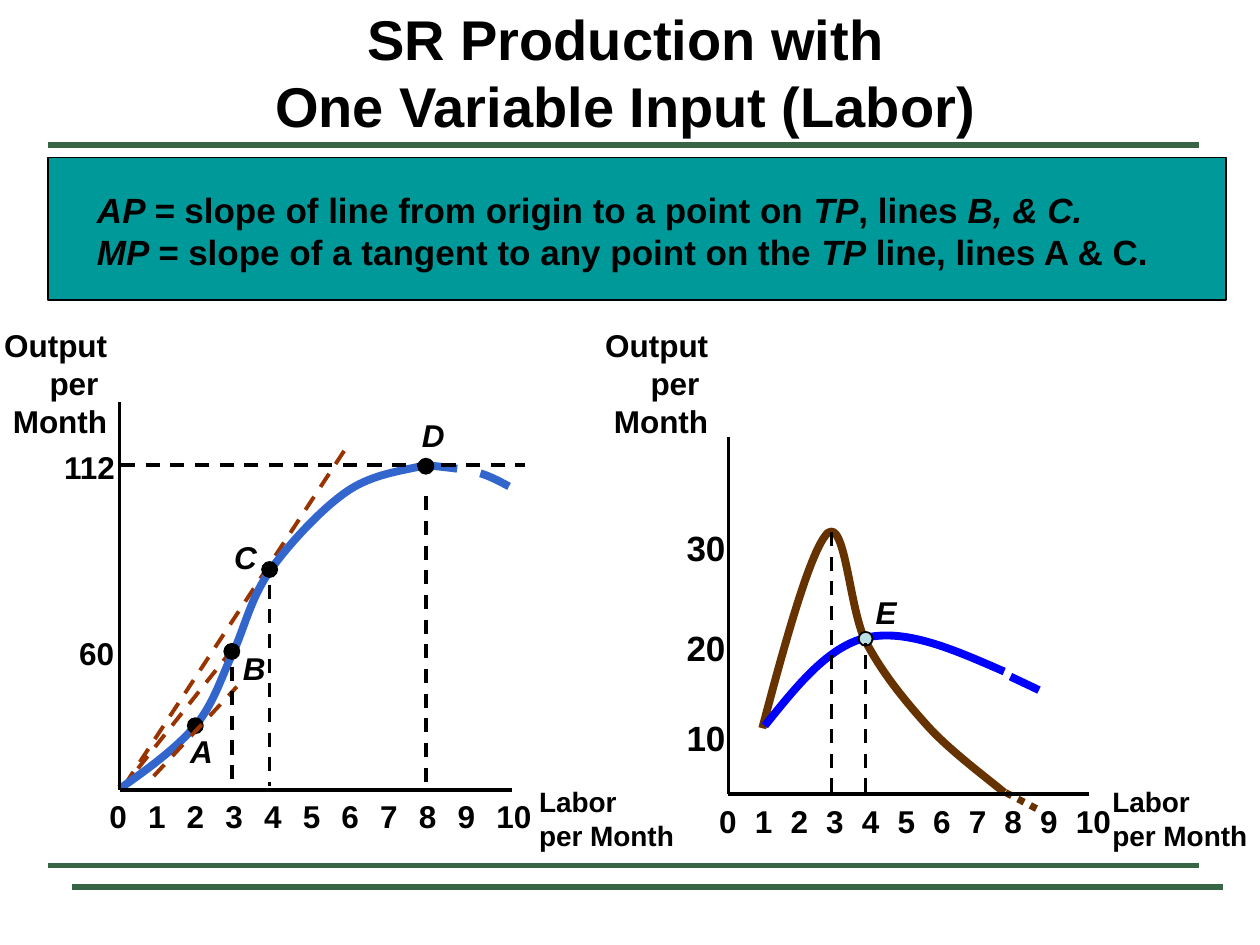
from dataclasses import dataclass
from lxml.etree import SubElement
from pptx import Presentation
from pptx.dml.color import RGBColor
from pptx.enum.dml import MSO_LINE
from pptx.enum.shapes import MSO_CONNECTOR, MSO_SHAPE
from pptx.enum.text import MSO_ANCHOR, MSO_AUTO_SIZE, PP_ALIGN
from pptx.oxml.ns import qn
from pptx.util import Inches, Pt


@dataclass(frozen=True)
class Theme:
    font: str = "Arial"
    ink: str = "000000"
    rule: str = "376546"
    band: str = "009999"
    slope: str = "993300"
    total: str = "3366CC"
    marginal: str = "663300"
    average: str = "0000FF"
    pale: str = "BBE0E3"
    title: int = 32
    body: int = 20
    label: int = 18
    small: int = 16
    axis: float = 2
    slope_line: float = 2.25
    rule_line: float = 3
    dot_line: float = 4
    curve: float = 4.5


class Board:
    COLS, ROWS = 10, 7.5

    def __init__(self, prs, theme):
        self.theme = theme
        self.s = prs.slides.add_slide(prs.slide_layouts[6])
        self.col = prs.slide_width / self.COLS
        self.row = prs.slide_height / self.ROWS

    def grid(self, x, y):
        return round(x * self.col), round(y * self.row)

    def stroke(self, line, color, width, dash=None):
        line.color.rgb = RGBColor.from_string(color)
        for name, value in {"width": Pt(width), "dash_style": dash}.items():
            setattr(line, name, value)

    def line(self, start, end, color, width, dash=None):
        c = self.s.shapes.add_connector(
            MSO_CONNECTOR.STRAIGHT, *self.grid(*start), *self.grid(*end))
        self.stroke(c.line, color, width, dash)
        SubElement(c._element.spPr, qn("a:effectLst"))

    def guide(self, start, end):
        self.line(start, end, self.theme.ink, self.theme.axis, MSO_LINE.DASH)

    def axes(self, x, top, y, right):
        for start, end in (((x, top), (x, y)), ((x, y), (right, y))):
            self.line(start, end, self.theme.ink, self.theme.axis)

    def curve(self, points, color, dash=None):
        start, *rest = [self.grid(*point) for point in points]
        builder = self.s.shapes.build_freeform(*start)
        builder.add_line_segments(rest, close=False)
        sp = builder.convert_to_shape()
        sp.shadow.inherit = False
        sp.fill.background()
        self.stroke(sp.line, color, self.theme.curve, dash)
        outline = next(sp._element.iter(qn("a:path")))
        segments = outline.findall(qn("a:lnTo"))
        for i in range(0, len(segments), 3):
            bezier = SubElement(outline, qn("a:cubicBezTo"))
            for segment in segments[i:i + 3]:
                bezier.append(segment[0])
                outline.remove(segment)

    def shape(self, kind, x, y, w, h, fill):
        sp = self.s.shapes.add_shape(kind, *self.grid(x, y), *self.grid(w, h))
        sp.shadow.inherit = False
        sp.fill.solid()
        sp.fill.fore_color.rgb = RGBColor.from_string(fill)
        self.stroke(sp.line, self.theme.ink, 1)

    def dot(self, x, y, fill, size=0.12):
        self.shape(MSO_SHAPE.OVAL, x - size / 2, y - size / 2, size, size, fill)

    def text(self, lines, x, y, w, h, size, align=PP_ALIGN.LEFT, **frame):
        tf = self.s.shapes.add_textbox(*self.grid(x, y), *self.grid(w, h)).text_frame
        defaults = {"word_wrap": False, "auto_size": MSO_AUTO_SIZE.SHAPE_TO_FIT_TEXT}
        for name, value in {**defaults, **frame}.items():
            setattr(tf, name, value)
        for n, line in enumerate(lines):
            p = tf.add_paragraph() if n else tf.paragraphs[0]
            p.alignment = align
            for i, part in enumerate(line.split("*")):
                for j, piece in enumerate(part.split("\n")):
                    if j:
                        p.add_line_break()
                    if piece:
                        self.run(p, piece, size, i % 2 == 1)

    def run(self, p, words, size, italic):
        r = p.add_run()
        r.text = words
        r.font.color.rgb = RGBColor.from_string(self.theme.ink)
        style = {"name": self.theme.font, "size": Pt(size), "bold": True, "italic": italic}
        for name, value in style.items():
            setattr(r.font, name, value)

    def ticks(self, x, y, step):
        for n in range(11):
            width = 0.34 if n < 10 else 0.48
            self.text([str(n)], x + n * step, y, width, 0.4, self.theme.label)

    def axis_titles(self, output_x, labor_x):
        self.text(["Output", "per ", "Month"], output_x, 2.54, 1.02, 1,
                  self.theme.label, PP_ALIGN.RIGHT)
        self.text(["Labor", "per Month"], labor_x, 6.18, 1.27, 0.63, self.theme.small)

    def letter(self, name, x, y):
        self.text([f"*{name}*"], x, y, 0.38, 0.4, self.theme.label)


def heading(board, t):
    board.text(["SR Production with\nOne Variable Input (Labor)"], 0.6, 0.3, 8.73, 0.85,
               t.title, PP_ALIGN.CENTER, word_wrap=True,
               auto_size=MSO_AUTO_SIZE.NONE, vertical_anchor=MSO_ANCHOR.BOTTOM)
    for x, y in ((0.38, 1.15), (0.38, 6.87), (0.57, 7.04)):
        board.line((x, y), (x + 9.14, y), t.rule, t.rule_line)
    board.shape(MSO_SHAPE.RECTANGLE, 0.38, 1.25, 9.35, 1.13, t.band)
    board.text(["*AP = *slope of line from origin to a point on *TP*, lines* B, & C.*",
                "*MP = *slope of a tangent to any point on the *TP* line, lines A & C."],
               0.17, 1.45, 9.24, 1.1, t.body, word_wrap=True, margin_left=Inches(0.6))


def total_product(board, t):
    for start, end in (((0.96, 6.27), (1.84, 5.16)), ((0.99, 6.23), (2.75, 3.55))):
        board.line(start, end, t.slope, t.slope_line, MSO_LINE.DASH)
    board.curve([(3.38, 3.69), (3.53, 3.71), (3.68, 3.72), (3.79, 3.75),
                 (3.9, 3.78), (3.98, 3.83), (4.06, 3.87)], t.total, MSO_LINE.DASH)
    board.curve([(0.95, 6.26), (1.18, 6.1), (1.41, 5.93), (1.56, 5.75),
                 (1.71, 5.56), (1.76, 5.36), (1.86, 5.16),
                 (1.95, 4.95), (2, 4.73), (2.15, 4.52),
                 (2.3, 4.31), (2.57, 4.02), (2.77, 3.89),
                 (2.98, 3.75), (3.25, 3.73), (3.38, 3.69)], t.total)
    board.axes(0.95, 3.19, 6.27, 4.06)
    board.axis_titles(-0.07, 4.18)
    board.text(["60"], 0.53, 4.98, 0.48, 0.4, t.label)
    board.text(["112"], 0.41, 3.51, 0.62, 0.4, t.label)
    board.ticks(0.77, 6.28, 0.307)
    for x, y in ((1.55, 5.76), (1.84, 5.17), (2.14, 4.52), (3.38, 3.7)):
        board.dot(x, y, t.ink)
    for name, x, y in (("A", 1.41, 5.76), ("B", 1.83, 5.1),
                       ("C", 1.76, 4.22), ("D", 3.25, 3.25)):
        board.letter(name, x, y)
    board.line((1.22, 6.16), (1.88, 5.45), t.slope, t.slope_line, MSO_LINE.DASH)
    board.guide((0.96, 3.69), (4.17, 3.69))
    for x, top in ((1.84, 5.29), (2.14, 4.64), (3.38, 3.94)):
        board.guide((x, top), (x, 6.24))


def marginal_and_average(board, t):
    board.line((7.98, 6.29), (8.23, 6.42), t.marginal, t.dot_line, MSO_LINE.ROUND_DOT)
    board.curve([(6.05, 5.78), (6.24, 5.06), (6.44, 4.35), (6.57, 4.23),
                 (6.71, 4.12), (6.74, 4.83), (6.87, 5.09),
                 (7, 5.34), (7.18, 5.56), (7.36, 5.76),
                 (7.54, 5.96), (7.84, 6.18), (7.97, 6.29)], t.marginal)
    board.curve([(6.07, 5.76), (6.32, 5.45), (6.57, 5.13), (6.88, 5.06),
                 (7.2, 4.99), (7.58, 5.16), (7.97, 5.33)], t.average)
    board.line((8.02, 5.37), (8.4, 5.55), t.average, t.curve, MSO_LINE.DASH)
    for value, y in ((10, 5.64), (20, 4.92), (30, 4.13)):
        board.text([str(value)], 5.35, y, 0.51, 0.43, t.body)
    board.letter("E", 6.85, 4.66)
    board.dot(6.87, 5.07, t.pale, 0.11)
    for x, top in ((6.87, 5.1), (6.6, 4.22)):
        board.guide((x, 6.29), (x, top))
    board.axes(5.78, 3.47, 6.3, 8.64)
    board.ticks(5.61, 6.32, 0.283)
    board.axis_titles(4.7, 8.73)


def main():
    prs = Presentation()
    prs.slide_width, prs.slide_height = Inches(10), Inches(7.5)
    theme = Theme()
    board = Board(prs, theme)
    for draw in (heading, total_product, marginal_and_average):
        draw(board, theme)
    prs.save("out.pptx")


if __name__ == "__main__":
    main()
